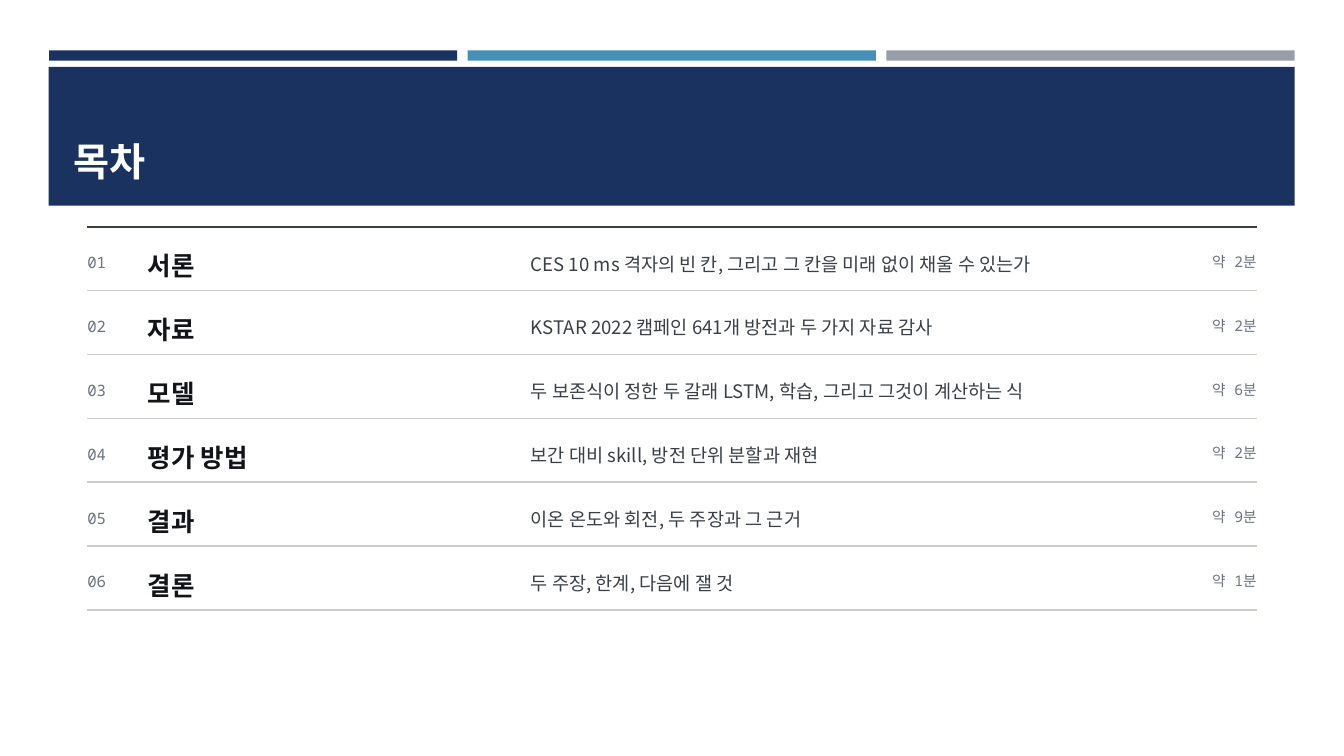
"""Build the table-of-contents slide of a talk."""
import dataclasses

import lxml.etree
import pptx
import pptx.dml.color
import pptx.enum.shapes
import pptx.enum.text
import pptx.oxml.ns
import pptx.util

PX = 914400 // 300
SANS = "Noto Sans CJK KR"
MONO = "Noto Sans Mono"
COLORS = {
    "navy": "1A3260",
    "blue": "4590B8",
    "gray": "969FA7",
    "white": "FFFFFF",
    "ink": "121418",
    "body": "3A3F47",
    "muted": "6B7280",
    "rule": "C9CDD3",
}
LEFT, RIGHT = 260, 3740
FIRST_RULE, ROW_HEIGHT = 675, 190
BAR_LEFT, BAR_STEP = 146, 1246
ALIGN = pptx.enum.text.PP_ALIGN


@dataclasses.dataclass(frozen=True)
class Column:
    left: int
    offset: int
    width: int
    height: int
    size: float
    font: str
    color: str
    bold: bool = False
    align: ALIGN = ALIGN.LEFT


@dataclasses.dataclass(frozen=True)
class Section:
    title: str
    summary: str
    minutes: int


COLUMNS = (
    Column(LEFT, 64, 160, 100, 11.2, MONO, "muted"),
    Column(440, 48, 1120, 120, 18.2, SANS, "ink", bold=True),
    Column(1580, 60, 1720, 120, 13.3, SANS, "body"),
    Column(3260, 64, 480, 100, 10.5, MONO, "muted", align=ALIGN.RIGHT),
)
SECTIONS = (
    Section("서론", "CES 10 ms 격자의 빈 칸, 그리고 그 칸을 미래 없이 채울 수 있는가", 2),
    Section("자료", "KSTAR 2022 캠페인 641개 방전과 두 가지 자료 감사", 2),
    Section("모델", "두 보존식이 정한 두 갈래 LSTM, 학습, 그리고 그것이 계산하는 식", 6),
    Section("평가 방법", "보간 대비 skill, 방전 단위 분할과 재현", 2),
    Section("결과", "이온 온도와 회전, 두 주장과 그 근거", 9),
    Section("결론", "두 주장, 한계, 다음에 잴 것", 1),
)


def px(length: int) -> pptx.util.Emu:
    return pptx.util.Emu(length * PX)


def rgb(name: str) -> pptx.dml.color.RGBColor:
    return pptx.dml.color.RGBColor.from_string(COLORS[name])


def write(frame, text: str, *, size: float, font: str, color: str,
          bold: bool = False, align: ALIGN = ALIGN.LEFT, spacing: float = 1.0) -> None:
    frame.word_wrap = True
    frame.auto_size = pptx.enum.text.MSO_AUTO_SIZE.NONE
    paragraph = frame.paragraphs[0]
    paragraph.alignment = align
    paragraph.line_spacing = spacing
    run = paragraph.add_run()
    run.text = text
    run.font.size = pptx.util.Pt(size)
    run.font.bold = bold
    run.font.color.rgb = rgb(color)
    run.font.name = font
    east_asian = lxml.etree.SubElement(run.font._element, pptx.oxml.ns.qn("a:ea"))
    east_asian.set("typeface", font)


def add_block(slide, left: int, top: int, width: int, height: int, color: str) -> None:
    shape = slide.shapes.add_shape(
        pptx.enum.shapes.MSO_SHAPE.RECTANGLE, px(left), px(top), px(width), px(height))
    shape.shadow.inherit = False
    shape.fill.solid()
    shape.fill.fore_color.rgb = rgb(color)
    shape.line.fill.background()


def add_rule(slide, top: int, color: str, weight: float) -> None:
    connector = slide.shapes.add_connector(
        pptx.enum.shapes.MSO_CONNECTOR.STRAIGHT, px(LEFT), px(top), px(RIGHT), px(top))
    connector.line.color.rgb = rgb(color)
    connector.line.width = pptx.util.Pt(weight)
    lxml.etree.SubElement(connector._element.spPr, pptx.oxml.ns.qn("a:effectLst"))


def add_cell(slide, column: Column, row_top: int, text: str) -> None:
    box = slide.shapes.add_textbox(
        px(column.left), px(row_top + column.offset), px(column.width), px(column.height))
    frame = box.text_frame
    frame.margin_left = frame.margin_right = frame.margin_top = frame.margin_bottom = 0
    write(frame, text, size=column.size, font=column.font, color=column.color,
          bold=column.bold, align=column.align, spacing=1.25)


def add_header(slide, text: str) -> None:
    for index, color in enumerate(("navy", "blue", "gray")):
        add_block(slide, BAR_LEFT + index * BAR_STEP, 150, 1215, 31, color)
    add_block(slide, 145, 199, 3708, 413, "navy")
    title = slide.shapes.title
    title.left, title.top, title.width, title.height = px(189), px(240), px(3618), px(324)
    title.text_frame.vertical_anchor = pptx.enum.text.MSO_ANCHOR.BOTTOM
    write(title.text_frame, text, size=28, font=SANS, color="white", bold=True)
    slide.shapes._spTree.append(title._element)


def add_contents(slide) -> None:
    add_rule(slide, FIRST_RULE, "body", 1.25)
    for index, section in enumerate(SECTIONS):
        row_top = FIRST_RULE + index * ROW_HEIGHT
        texts = (f"{index + 1:02}", section.title, section.summary, f"약 {section.minutes}분")
        for column, text in zip(COLUMNS, texts):
            add_cell(slide, column, row_top, text)
        add_rule(slide, row_top + ROW_HEIGHT, "rule", 1)


def main() -> None:
    presentation = pptx.Presentation()
    presentation.slide_width, presentation.slide_height = px(4000), px(2250)
    slide = presentation.slides.add_slide(presentation.slide_layouts[5])
    add_header(slide, "목차")
    add_contents(slide)
    presentation.save("out.pptx")


if __name__ == "__main__":
    main()
